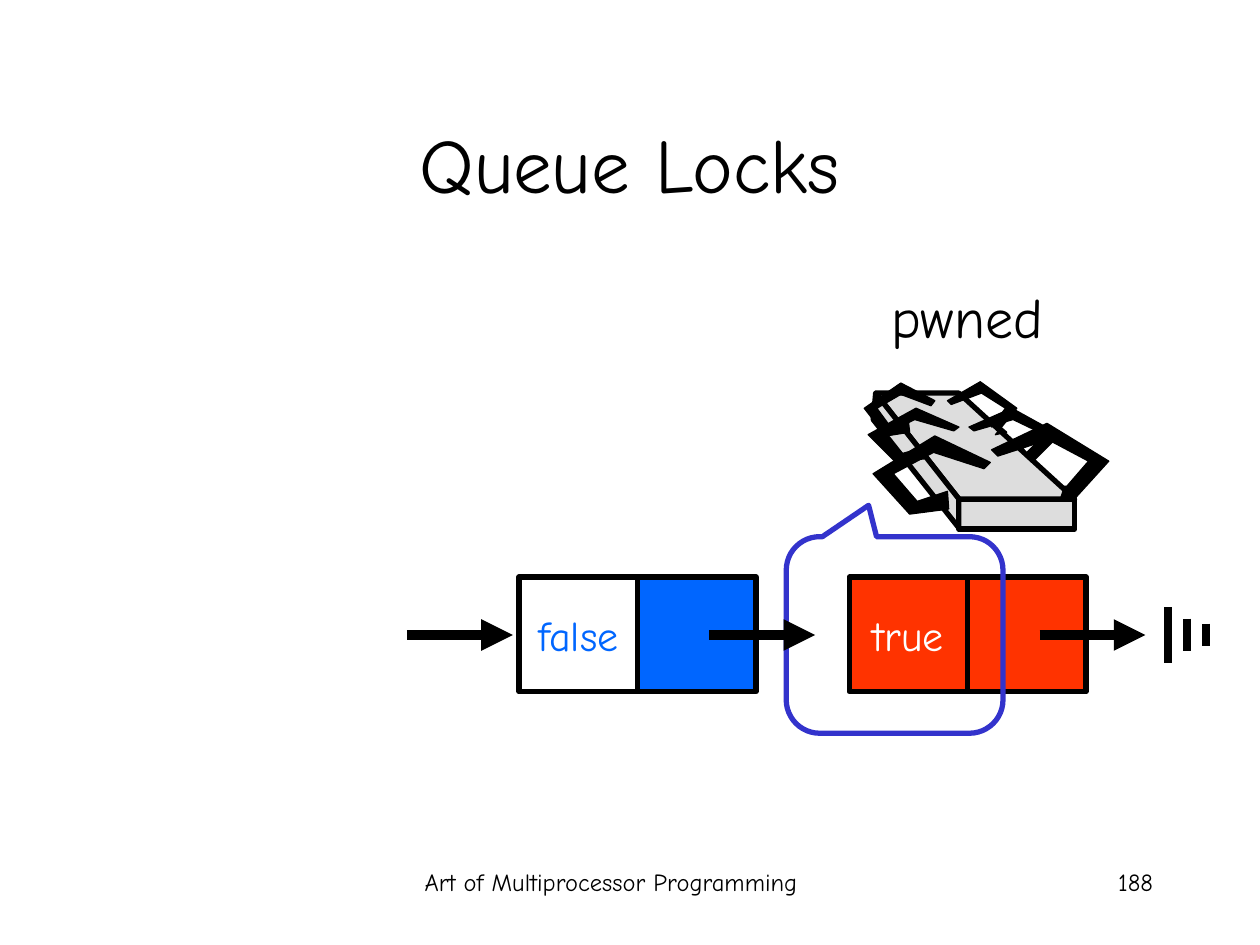
from dataclasses import dataclass

from pptx import Presentation
from pptx.dml.color import RGBColor as RGB
from pptx.enum.shapes import MSO_CONNECTOR as CONN, MSO_SHAPE as SHAPE
from pptx.enum.text import MSO_ANCHOR as ANCHOR, MSO_AUTO_SIZE as AUTO, PP_ALIGN as ALIGN
from pptx.oxml.ns import qn
from pptx.util import Pt
from lxml.etree import SubElement

PX = 9144  # 100 px to the inch


@dataclass(frozen=True)
class Theme:
    font: str = "Comic Neue"
    black: RGB = RGB(0x00, 0x00, 0x00)
    white: RGB = RGB(0xFF, 0xFF, 0xFF)
    red: RGB = RGB(0xFF, 0x33, 0x00)
    blue: RGB = RGB(0x00, 0x66, 0xFF)
    indigo: RGB = RGB(0x33, 0x33, 0xCC)
    gray: RGB = RGB(0xDD, 0xDD, 0xDD)
    title: int = 44
    label: int = 32
    value: int = 24
    footer: int = 14


T = Theme()


def write(sp, text, size, color=T.black, align=ALIGN.CENTER, anchor=ANCHOR.TOP,
          wrap=True, auto=AUTO.NONE):
    tf = sp.text_frame
    tf.word_wrap, tf.auto_size, tf.vertical_anchor = wrap, auto, anchor
    p = tf.paragraphs[0]
    p.alignment = align
    r = p.add_run()
    r.text = text
    r.font.name, r.font.size, r.font.color.rgb = T.font, Pt(size), color


def paint(sp, fill=None, line=T.black, width=3):
    """Fill and outline a shape; without a fill it stays see-through."""
    sp.shadow.inherit = False
    if fill is None:
        sp.fill.background()
    else:
        sp.fill.solid()
        sp.fill.fore_color.rgb = fill
    sp.line.color.rgb, sp.line.width = line, Pt(width)


prs = Presentation()
prs.slide_width, prs.slide_height = 1000 * PX, 750 * PX
slide = prs.slides.add_slide(prs.slide_layouts[5])
shapes = slide.shapes

# Title, footer and label
title = shapes.title
title.left, title.top, title.width, title.height = 75 * PX, 67 * PX, 850 * PX, 125 * PX
write(title, "Queue Locks", T.title, anchor=ANCHOR.MIDDLE)

for text, x, y, w, h, fmt in (
    ("Art of Multiprocessor Programming", 289, 683, 392, 50, dict(size=T.footer)),
    ("188", 717, 683, 208, 50, dict(size=T.footer, align=ALIGN.RIGHT)),
    ("pwned", 697, 219, 141, 64, dict(size=T.label, wrap=False, auto=AUTO.SHAPE_TO_FIT_TEXT)),
):
    write(shapes.add_textbox(x * PX, y * PX, w * PX, h * PX), text, **fmt)

# Queue nodes: a value cell and a pointer cell each
CELL_W, CELL_H, CELL_TOP = 94, 91, 458
for left, text, color, value_fill, next_fill in (
    (674, "true", T.white, T.red, T.red),
    (412, "false", T.blue, T.white, T.blue),
):
    for i, fill in enumerate((value_fill, next_fill)):
        cell = shapes.add_shape(SHAPE.RECTANGLE, (left + i * CELL_W) * PX, CELL_TOP * PX,
                                CELL_W * PX, CELL_H * PX)
        paint(cell, fill)
        if i == 0:
            write(cell, text, T.value, color, anchor=ANCHOR.MIDDLE, wrap=False)

callout = shapes.add_shape(SHAPE.ROUNDED_RECTANGULAR_CALLOUT,
                           624 * PX, 426 * PX, 172 * PX, 156 * PX)
for i, value in enumerate((-0.12, -0.66, 0.17)):
    callout.adjustments[i] = value
paint(callout, line=T.indigo)

# Pointer arrows and the ground symbol that ends the queue
MID = 504
ground = shapes.add_group_shape().shapes
arrows = [(shapes, x, MID, x + 84, MID, 6) for x in (825, 563, 323)]
bars = [(ground, x, MID - half, x, MID + half, 4.5)
        for x, half in ((927, 22), (942, 13), (957, 9))]
for parent, x1, y1, x2, y2, width in arrows + bars:
    ln = parent.add_connector(CONN.STRAIGHT, x1 * PX, y1 * PX, x2 * PX, y2 * PX)
    ln.line.color.rgb, ln.line.width = T.black, Pt(width)
    if parent is shapes:
        SubElement(ln.line._get_or_add_ln(), qn("a:tailEnd"), type="triangle")
    SubElement(ln._element.spPr, qn("a:effectLst"))

# Slab held by two hands of three fingers
slab = [
    [(695, 312), (761, 396), (853, 396), (761, 312)],
    [(695, 312), (693, 333), (761, 419), (761, 396)],
]
fingers = [
    [(752, 390), (753, 404), (722, 408), (693, 376), (742, 346), (786, 367),
     (781, 372), (741, 359), (709, 376), (728, 398)],
    [(734, 355), (735, 364), (711, 367), (689, 345), (727, 324), (761, 339),
     (757, 342), (726, 333), (701, 345), (716, 360)],
    [(721, 334), (722, 343), (703, 346), (686, 324), (715, 304), (742, 318),
     (739, 322), (715, 313), (696, 324), (707, 339)],
    [(811, 354), (814, 362), (819, 367), (841, 345), (803, 324), (769, 339),
     (773, 342), (804, 333), (829, 345), (814, 360)],
    [(787, 333), (799, 343), (790, 345), (807, 324), (778, 303), (752, 318),
     (755, 321), (779, 312), (798, 324), (787, 339)],
    [(847, 390), (844, 389), (842, 395), (851, 398), (880, 366), (831, 336),
     (787, 357), (792, 362), (832, 349), (864, 366), (845, 388), (847, 386),
     (844, 386), (841, 386)],
]
held = shapes.add_group_shape().shapes
paint(held.add_shape(SHAPE.RECTANGLE, 761 * PX, 396 * PX, 92 * PX, 24 * PX), T.gray)
for outlines, fill, width in ((slab, T.gray, 3), (fingers, T.black, 0.75)):
    for start, *rest in outlines:
        fb = held.build_freeform(*start, scale=PX)
        fb.add_line_segments(rest, close=True)
        paint(fb.convert_to_shape(), fill, width=width)

prs.save("out.pptx")
